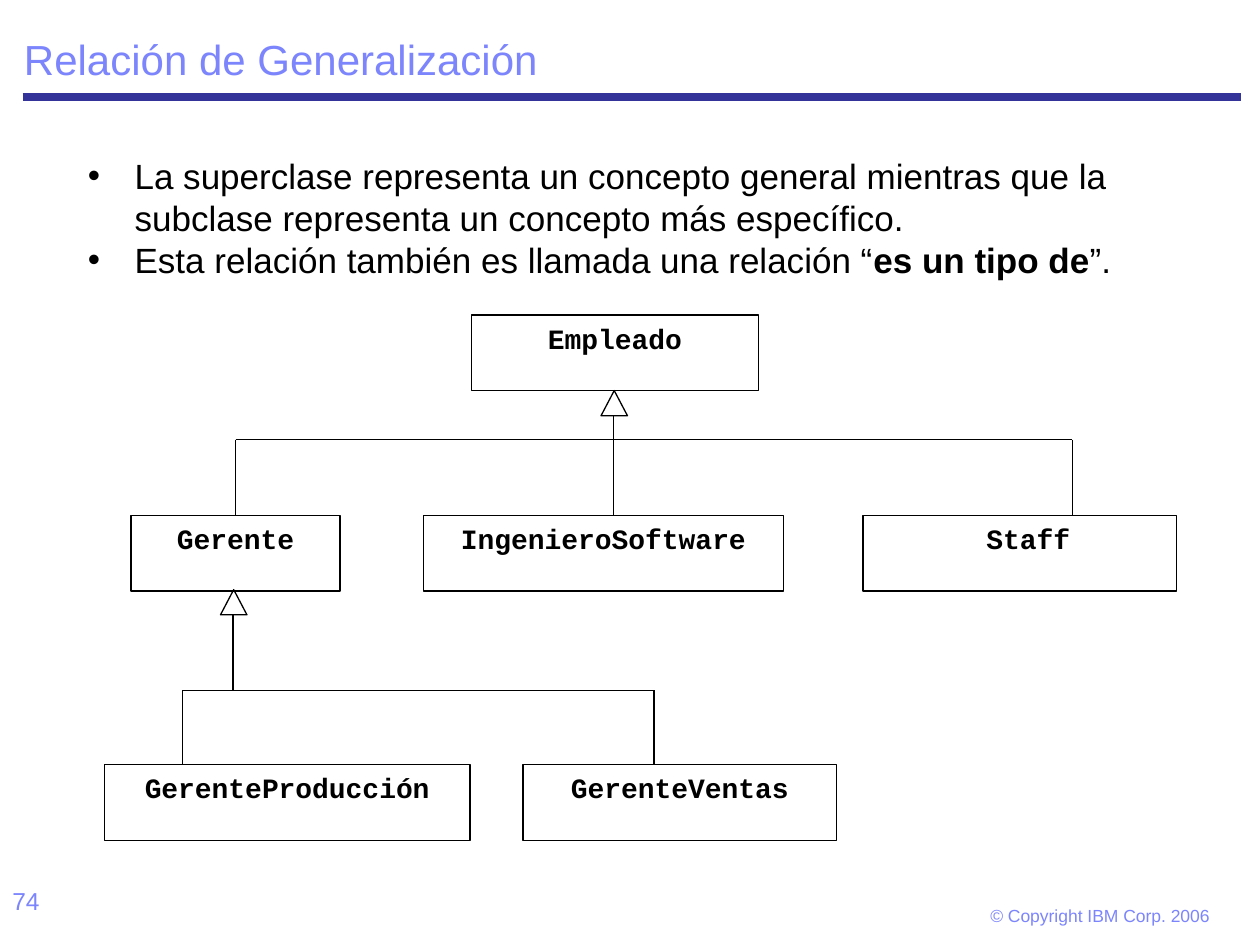
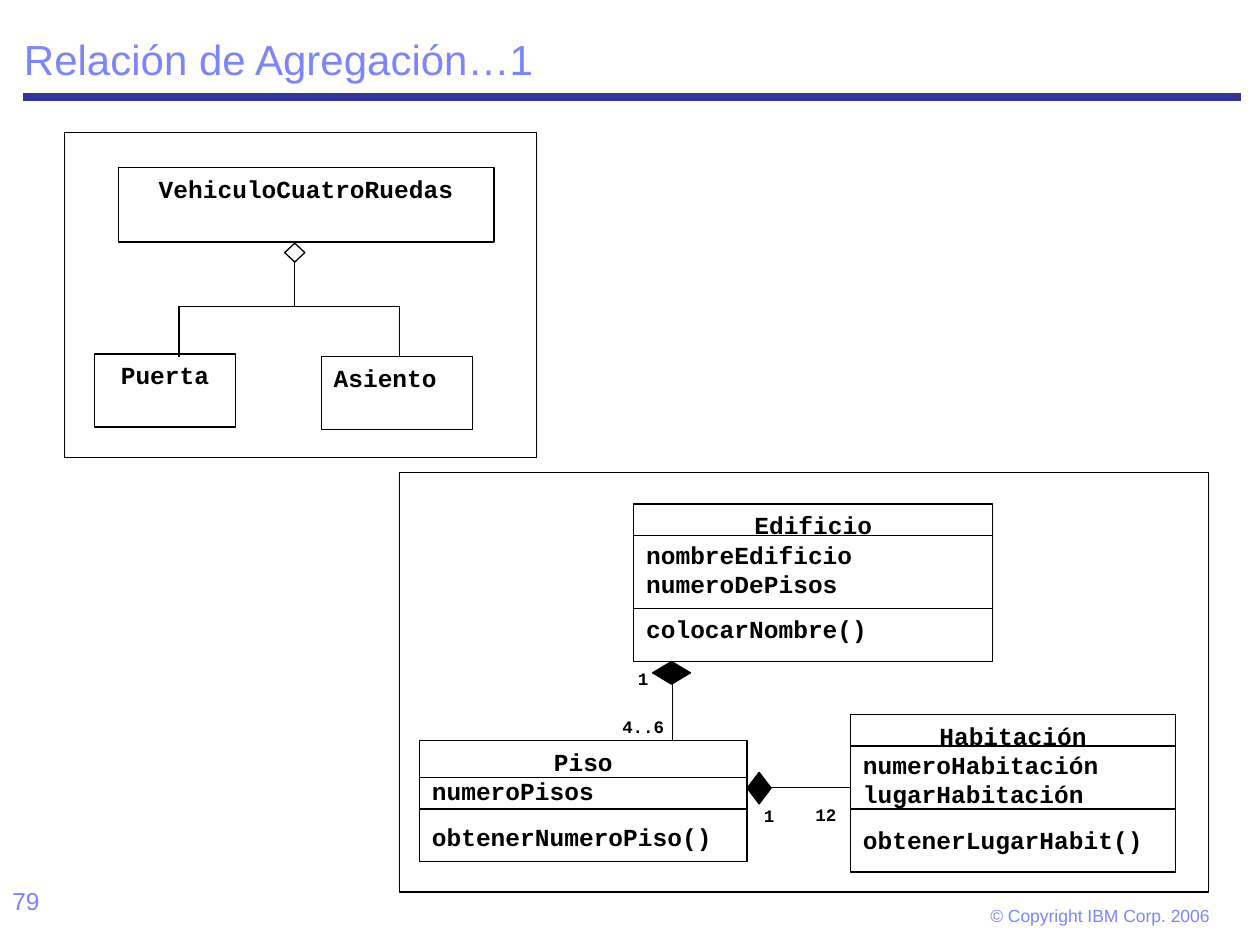
"""Build two UML slides on generalization and aggregation."""
from dataclasses import dataclass

from lxml.etree import SubElement
from pptx import Presentation
from pptx.dml.color import RGBColor
from pptx.enum.shapes import MSO_CONNECTOR, MSO_SHAPE
from pptx.enum.text import MSO_ANCHOR, MSO_AUTO_SIZE, PP_ALIGN
from pptx.oxml.ns import qn
from pptx.util import Emu, Pt

SCALE = 9144
INK = {"black": "000000", "lilac": "7C85FC", "navy": "333399"}
SANS, MONO = "Arial", "Courier New"
LEFT, MID = PP_ALIGN.LEFT, PP_ALIGN.CENTER
RECT, KITE, PEAK = MSO_SHAPE.RECTANGLE, MSO_SHAPE.DIAMOND, MSO_SHAPE.ISOSCELES_TRIANGLE


@dataclass(frozen=True)
class Area:
    x: int
    y: int
    w: int
    h: int


@dataclass(frozen=True)
class Card:
    area: Area
    name: str
    fields: tuple[str, ...] = ()
    method: str = ""
    cuts: tuple[int, ...] = ()
    size: int = 14
    align: PP_ALIGN = MID


@dataclass(frozen=True)
class Tree:
    head: Area
    kind: MSO_SHAPE
    bar: int
    drops: tuple[int, ...]
    foot: int


@dataclass(frozen=True)
class Mark:
    area: Area
    text: str


def px(num: int) -> Emu:
    return Emu(num * SCALE)


def place(area: Area) -> tuple[Emu, ...]:
    return px(area.x), px(area.y), px(area.w), px(area.h)


def tint(name: str) -> RGBColor:
    return RGBColor.from_string(INK[name])


def bullet(para, indent: int) -> None:
    props = para._p.get_or_add_pPr()
    props.set("marL", str(px(indent)))
    props.set("indent", str(-px(indent)))
    color = SubElement(props, qn("a:buClr"))
    SubElement(color, qn("a:srgbClr"), val=INK["black"])
    SubElement(props, qn("a:buFont"), typeface=SANS)
    SubElement(props, qn("a:buChar"), char="•")


def write(frame, *lines: str, font: str = SANS, size: int = 14, color: str = "black",
          bold: bool = False, align: PP_ALIGN = LEFT, anchor: MSO_ANCHOR = MSO_ANCHOR.TOP,
          pad: tuple[int, int] = (10, 5), wrap: bool = True, indent: int = 0,
          space: float | None = None) -> None:
    frame.auto_size = MSO_AUTO_SIZE.NONE
    frame.word_wrap = wrap
    frame.vertical_anchor = anchor
    frame.margin_left = frame.margin_right = px(pad[0])
    frame.margin_top = frame.margin_bottom = px(pad[1])
    for row, line in enumerate(lines):
        para = frame.add_paragraph() if row else frame.paragraphs[0]
        if indent:
            bullet(para, indent)
        para.alignment = align
        if space:
            para.line_spacing = space
        for turn, part in enumerate(line.split("|")):
            run = para.add_run()
            run.text = part
            run.font.name = font
            run.font.size = Pt(size)
            run.font.bold = bold or turn % 2 == 1
            run.font.color.rgb = tint(color)


def label(slide, area: Area, *lines: str, **style) -> None:
    write(slide.shapes.add_textbox(*place(area)).text_frame, *lines, **style)


def wire(slide, x1: int, y1: int, x2: int, y2: int,
         color: str = "black", width: float = 0.75) -> None:
    line = slide.shapes.add_connector(
        MSO_CONNECTOR.STRAIGHT, px(x1), px(y1), px(x2), px(y2))
    line.line.color.rgb = tint(color)
    line.line.width = Pt(width)
    SubElement(line._element.spPr, qn("a:effectLst"))


def block(slide, area: Area, kind: MSO_SHAPE = RECT, solid: bool = False):
    shape = slide.shapes.add_shape(kind, *place(area))
    shape.shadow.inherit = False
    if solid:
        shape.fill.solid()
        shape.fill.fore_color.rgb = tint("black")
    else:
        shape.fill.background()
    shape.line.color.rgb = tint("black")
    shape.line.width = Pt(0.75)
    return shape


def draw_card(slide, card: Card) -> None:
    area = card.area
    frame = block(slide, area).text_frame
    ops = (card.method,) if card.method else ()
    write(frame, card.name, *card.fields, *ops, font=MONO, size=card.size, bold=True)
    frame.paragraphs[0].alignment = card.align
    if ops:
        frame.paragraphs[-1].space_before = Pt(9)
    for cut in card.cuts:
        wire(slide, area.x, cut, area.x + area.w, cut)


def draw_tree(slide, tree: Tree) -> None:
    head = tree.head
    stem = head.x + head.w // 2
    block(slide, head, tree.kind)
    wire(slide, stem, head.y + head.h, stem, tree.bar)
    wire(slide, tree.drops[0], tree.bar, tree.drops[-1], tree.bar)
    for drop in tree.drops:
        wire(slide, drop, tree.bar, drop, tree.foot)


def start(deck, title: str, page: int):
    slide = deck.slides.add_slide(deck.slide_layouts[5])
    head = slide.shapes.title
    head.left, head.top, head.width, head.height = place(Area(9, 9, 980, 63))
    write(head.text_frame, title, size=24, color="lilac",
          anchor=MSO_ANCHOR.BOTTOM, space=0.9)
    wire(slide, 18, 77, 985, 77, "navy", 4.5)
    label(slide, Area(771, 711, 204, 32), "© Copyright IBM Corp. 2006",
          size=10, color="lilac", pad=(15, 7), wrap=False)
    label(slide, Area(0, 698, 233, 52), str(page), color="lilac")
    return slide


def general(deck) -> None:
    slide = start(deck, "Relación de Generalización", 74)
    label(slide, Area(60, 118, 880, 538),
          "La superclase representa un concepto general mientras que la "
          "subclase representa un concepto más específico.",
          "Esta relación también es llamada una relación “|es un tipo de|”.",
          size=20, indent=37)
    cards = (
        (374, 250, 228, "Empleado"),
        (104, 409, 166, "Gerente"),
        (336, 409, 286, "IngenieroSoftware"),
        (685, 409, 249, " Staff"),
        (83, 607, 290, "GerenteProducción"),
        (415, 607, 249, "GerenteVentas"),
    )
    for x, y, w, name in cards:
        draw_card(slide, Card(Area(x, y, w, 60), name, size=16))
    draw_tree(slide, Tree(Area(477, 310, 21, 20), PEAK, 349, (187, 487, 851), 409))
    draw_tree(slide, Tree(Area(175, 468, 21, 20), PEAK, 548, (145, 519), 607))


def whole(deck) -> None:
    slide = start(deck, "Relación de Agregación…1", 79)
    for frame in (Area(51, 105, 375, 258), Area(317, 375, 642, 333)):
        block(slide, frame)
    cards = (
        Card(Area(94, 133, 298, 59), "VehiculoCuatroRuedas"),
        Card(Area(75, 281, 112, 58), "Puerta"),
        Card(Area(255, 283, 120, 58), "Asiento", align=LEFT),
        Card(Area(503, 400, 285, 125), "Edificio",
             ("nombreEdificio", "numeroDePisos"), "colocarNombre()", (425, 483)),
        Card(Area(333, 588, 260, 96), "Piso",
             ("numeroPisos",), "obtenerNumeroPiso()", (617, 642)),
        Card(Area(675, 567, 258, 125), "Habitación",
             ("numeroHabitación", "lugarHabitación"), "obtenerLugarHabit()", (592, 642)),
    )
    for card in cards:
        draw_card(slide, card)
    draw_tree(slide, Tree(Area(226, 193, 16, 15), KITE, 243, (142, 317), 283))
    for area in (Area(518, 525, 30, 18), Area(593, 613, 19, 25)):
        block(slide, area, KITE, solid=True)
    wire(slide, 534, 543, 534, 588)
    wire(slide, 612, 625, 675, 625)
    marks = (
        Mark(Area(473, 563, 75, 25), "4..6"),
        Mark(Area(633, 633, 45, 25), "12"),
        Mark(Area(488, 525, 45, 25), "1"),
        Mark(Area(588, 634, 45, 25), "1"),
    )
    for mark in marks:
        label(slide, mark.area, mark.text, font=MONO, size=10, bold=True, align=MID)


def main() -> None:
    deck = Presentation()
    deck.slide_width, deck.slide_height = px(1000), px(750)
    general(deck)
    whole(deck)
    deck.save("out.pptx")


if __name__ == "__main__":
    main()
